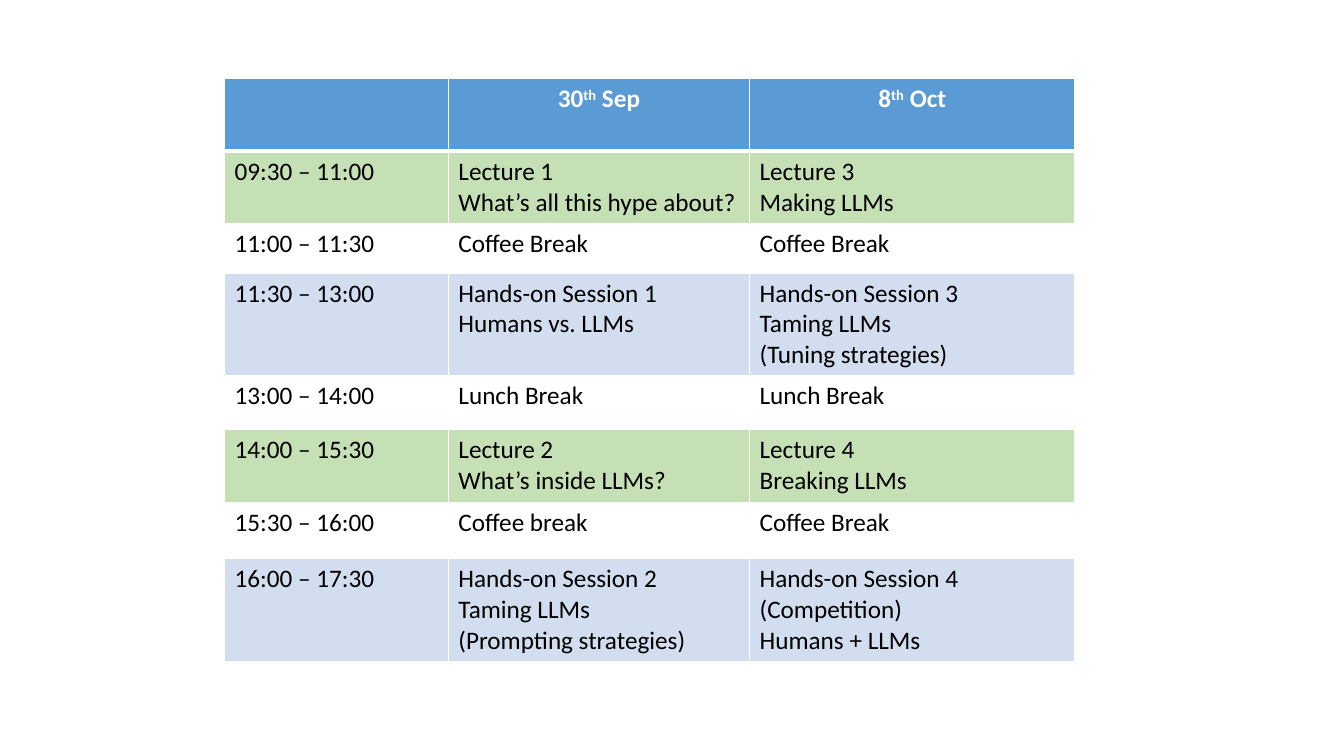
from dataclasses import dataclass

from lxml import etree
from pptx import Presentation
from pptx import util as u
from pptx.dml.color import RGBColor
from pptx.enum import text
from pptx.oxml.ns import qn
from pptx.table import _Cell

COLORS = {
    "header": "5B9BD5",
    "lecture": "C5E0B4",
    "break": "FFFFFF",
    "hands_on": "D2DEEF",
    "rule": "FFFFFF",
    "header_text": "FFFFFF",
    "text": "000000",
}
COLUMN_WIDTHS = (5.64, 7.59, 8.2)
HEADER_HEIGHT = 1.83


@dataclass
class Day:
    number: str
    suffix: str
    month: str


@dataclass
class Slot:
    kind: str
    time: str
    first_day: str
    second_day: str
    height: float = 1.83


DAYS = (Day("30", "th", " Sep"), Day("8", "th", " Oct"))
SLOTS = (
    Slot("lecture", "09:30 – 11:00", "Lecture 1\nWhat’s all this hype about?",
         "Lecture 3\nMaking LLMs"),
    Slot("break", "11:00 – 11:30", "Coffee Break", "Coffee Break", 1.24),
    Slot("hands_on", "11:30 – 13:00", "Hands-on Session 1\nHumans vs. LLMs",
         "Hands-on Session 3\nTaming LLMs\n(Tuning strategies)"),
    Slot("break", "13:00 – 14:00", "Lunch Break", "Lunch Break", 1.37),
    Slot("lecture", "14:00 – 15:30", "Lecture 2\nWhat’s inside LLMs?",
         "Lecture 4\nBreaking LLMs"),
    Slot("break", "15:30 – 16:00", "Coffee break", "Coffee Break", 1.42),
    Slot("hands_on", "16:00 – 17:30", "Hands-on Session 2\nTaming LLMs\n(Prompting strategies)",
         "Hands-on Session 4\n(Competition)\nHumans + LLMs"),
)


def add_borders(cell: _Cell, top: float, bottom: float) -> None:
    properties = cell._tc.get_or_add_tcPr()
    for side, width in (("L", 1), ("R", 1), ("T", top), ("B", bottom)):
        line = etree.SubElement(properties, qn(f"a:ln{side}"), w=str(u.Pt(width)))
        fill = etree.SubElement(line, qn("a:solidFill"))
        etree.SubElement(fill, qn("a:srgbClr"), val=COLORS["rule"])


def style_cell(cell: _Cell, fill: str, color: str, bold: bool = False,
               top: float = 1, bottom: float = 1) -> None:
    add_borders(cell, top, bottom)
    cell.fill.solid()
    cell.fill.fore_color.rgb = RGBColor.from_string(COLORS[fill])
    for paragraph in cell.text_frame.paragraphs:
        font = paragraph.font
        font.name, font.size, font.bold = "Calibri", u.Pt(18), bold
        font.color.rgb = RGBColor.from_string(COLORS[color])


def write_day(cell: _Cell, day: Day) -> None:
    heading = cell.text_frame.paragraphs[0]
    heading.alignment = text.PP_ALIGN.CENTER
    for part in (day.number, day.suffix, day.month):
        run = heading.add_run()
        run.text = part
        if part == day.suffix:
            run._r.get_or_add_rPr().set("baseline", "30000")


def main() -> None:
    deck = Presentation()
    deck.slide_width, deck.slide_height = u.Cm(33.87), u.Cm(19.05)
    slide = deck.slides.add_slide(deck.slide_layouts[6])

    # Timetable grid
    heights = [HEADER_HEIGHT] + [slot.height for slot in SLOTS]
    timetable = slide.shapes.add_table(
        len(heights), len(COLUMN_WIDTHS), u.Cm(5.66), u.Cm(1.98),
        u.Cm(sum(COLUMN_WIDTHS)), u.Cm(sum(heights))).table
    for column, width in zip(timetable.columns, COLUMN_WIDTHS):
        column.width = u.Cm(width)
    for row, height in zip(timetable.rows, heights):
        row.height = u.Cm(height)

    # Header with the two days
    for index, day in enumerate(DAYS, start=1):
        write_day(timetable.cell(0, index), day)
    for cell in timetable.rows[0].cells:
        style_cell(cell, "header", "header_text", bold=True, bottom=3)

    # Time slots
    for index, slot in enumerate(SLOTS, start=1):
        entries = (slot.time, slot.first_day, slot.second_day)
        for cell, entry in zip(timetable.rows[index].cells, entries):
            cell.text = entry
            style_cell(cell, slot.kind, "text", top=3 if index == 1 else 1)

    deck.save("out.pptx")


if __name__ == "__main__":
    main()
